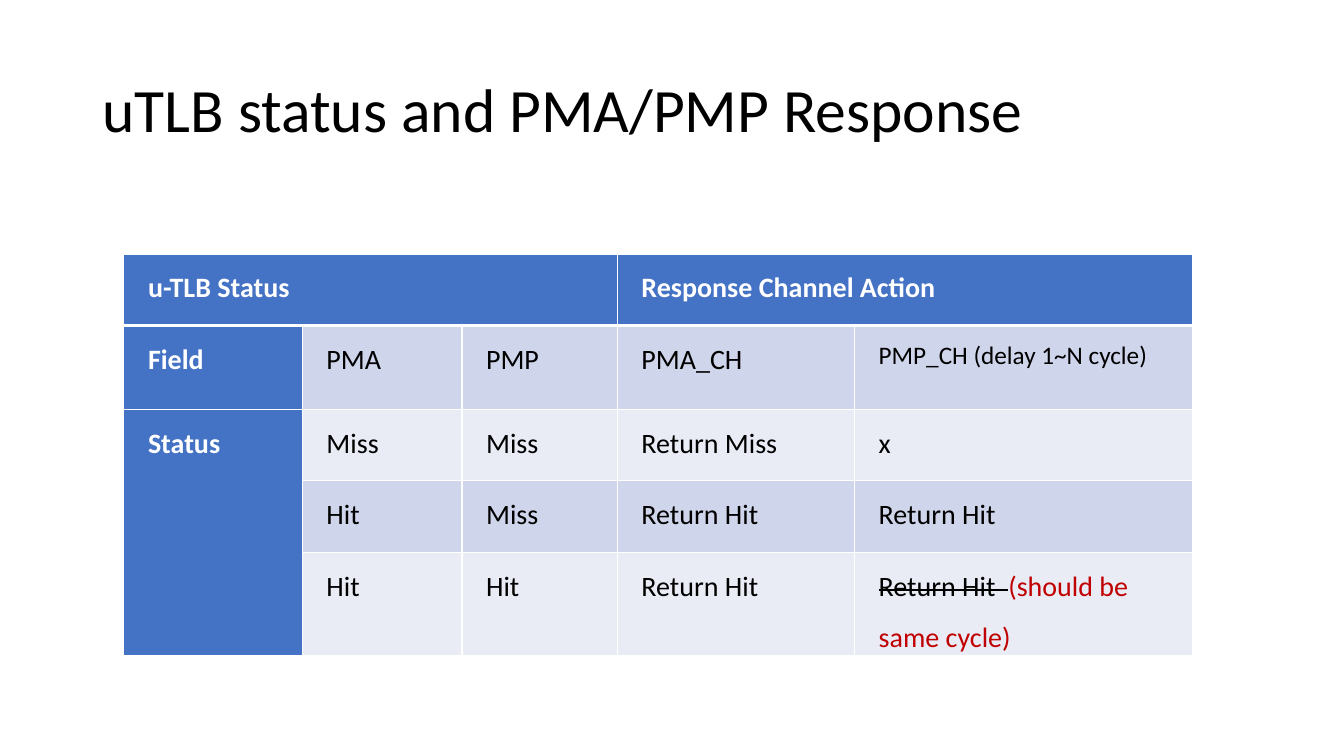
from lxml import etree
from pptx import Presentation, util as u
from pptx.dml.color import RGBColor
from pptx.enum import text as t
from pptx.oxml import ns

PX = 9525
FONT = "Calibri"
BLACK = RGBColor(0, 0, 0)
WHITE = RGBColor(255, 255, 255)
RED = RGBColor(0xC0, 0, 0)
BLUE = RGBColor(0x44, 0x72, 0xC4)
BANDS = RGBColor(0xE9, 0xEB, 0xF5), RGBColor(0xCF, 0xD5, 0xEA)

COLS = [170, 152, 148, 226, 322]
ROWS = [68, 80, 68, 68, 88]
CELLS = [
    ["u-TLB Status", "", "", "Response Channel Action", ""],
    ["Field", "PMA", "PMP", "PMA_CH", "PMP_CH (delay 1~N cycle)"],
    ["Status", "Miss", "Miss", "Return Miss", "x"],
    ["", "Hit", "Miss", "Return Hit", "Return Hit"],
    ["", "Hit", "Hit", "Return Hit", "Return Hit  "],
]
NOTE = "(should be same cycle)"
SPANS = [(0, 0, 0, 2), (0, 3, 0, 4), (2, 0, 4, 0)]


def px(n):
    return u.Emu(n * PX)


def style(font, size, color, bold=False):
    font.name = FONT
    font.size = u.Pt(size)
    font.bold = bold
    font.color.rgb = color


def add_title(slide, words):
    title = slide.shapes.title
    title.left, title.top, title.width, title.height = map(px, (88, 38, 1104, 139))
    frame = title.text_frame
    frame.text = words
    frame.word_wrap = True
    frame.vertical_anchor = t.MSO_ANCHOR.MIDDLE
    para = frame.paragraphs[0]
    para.alignment = t.PP_ALIGN.LEFT
    para.line_spacing = 0.9
    style(para.runs[0].font, 44, BLACK)


def add_edges(cell, row):
    thick = {"T": row == 1, "B": row == 0}
    props = cell._tc.get_or_add_tcPr()
    for side in "LRTB":
        width = u.Pt(3 if thick.get(side) else 1)
        line = etree.SubElement(props, ns.qn("a:ln" + side), w=str(width))
        fill = etree.SubElement(line, ns.qn("a:solidFill"))
        etree.SubElement(fill, ns.qn("a:srgbClr"), val=str(WHITE))


def fill_cell(cell, row, col, words):
    head = row == 0 or col == 0
    add_edges(cell, row)
    cell.fill.solid()
    cell.fill.fore_color.rgb = BLUE if head else BANDS[row % 2]
    cell.margin_left = cell.margin_right = px(7)
    cell.margin_top = cell.margin_bottom = 0
    para = cell.text_frame.paragraphs[0]
    para.text = words
    para.line_spacing = 1.5
    props = para._p.get_or_add_pPr()
    props.set("marL", str(px(16)))
    props.set("indent", "0")
    size = 18 if (row, col) == (1, 4) else 20
    for run in para.runs:
        style(run.font, size, WHITE if head else BLACK, head)


def add_note(cell):
    para = cell.text_frame.paragraphs[0]
    para.runs[0]._r.get_or_add_rPr().set("strike", "sngStrike")
    run = para.add_run()
    run.text = NOTE
    style(run.font, 20, RED)


def add_grid(slide):
    frame = slide.shapes.add_table(
        len(ROWS), len(COLS), px(118), px(242), px(sum(COLS)), px(sum(ROWS)))
    table = frame.table
    for col, width in zip(table.columns, COLS):
        col.width = px(width)
    for row, height in zip(table.rows, ROWS):
        row.height = px(height)
    for r, line in enumerate(CELLS):
        for c, words in enumerate(line):
            fill_cell(table.cell(r, c), r, c, words)
    add_note(table.cell(4, 4))
    for top, left, low, right in SPANS:
        table.cell(top, left).merge(table.cell(low, right))


def main():
    deck = Presentation()
    deck.slide_width, deck.slide_height = px(1280), px(720)
    slide = deck.slides.add_slide(deck.slide_layouts[5])
    add_title(slide, "uTLB status and PMA/PMP Response")
    add_grid(slide)
    deck.save("out.pptx")


if __name__ == "__main__":
    main()
